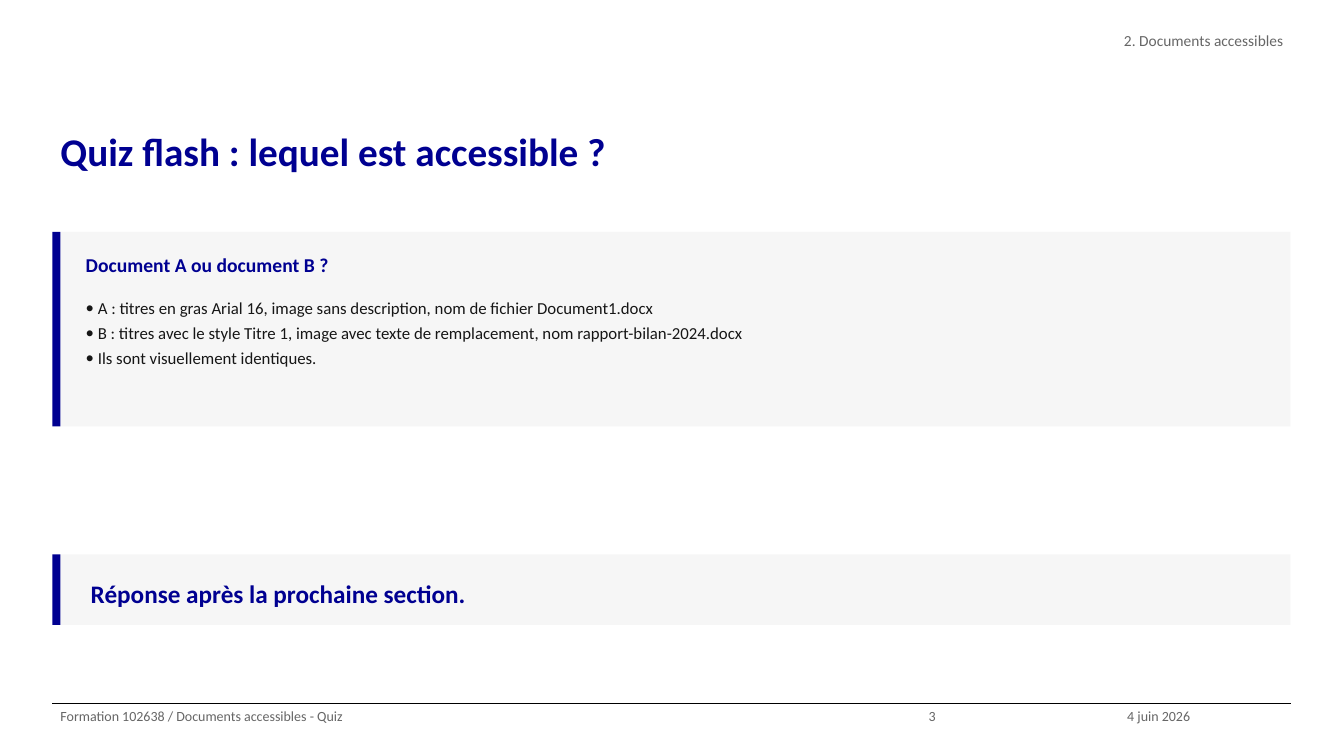
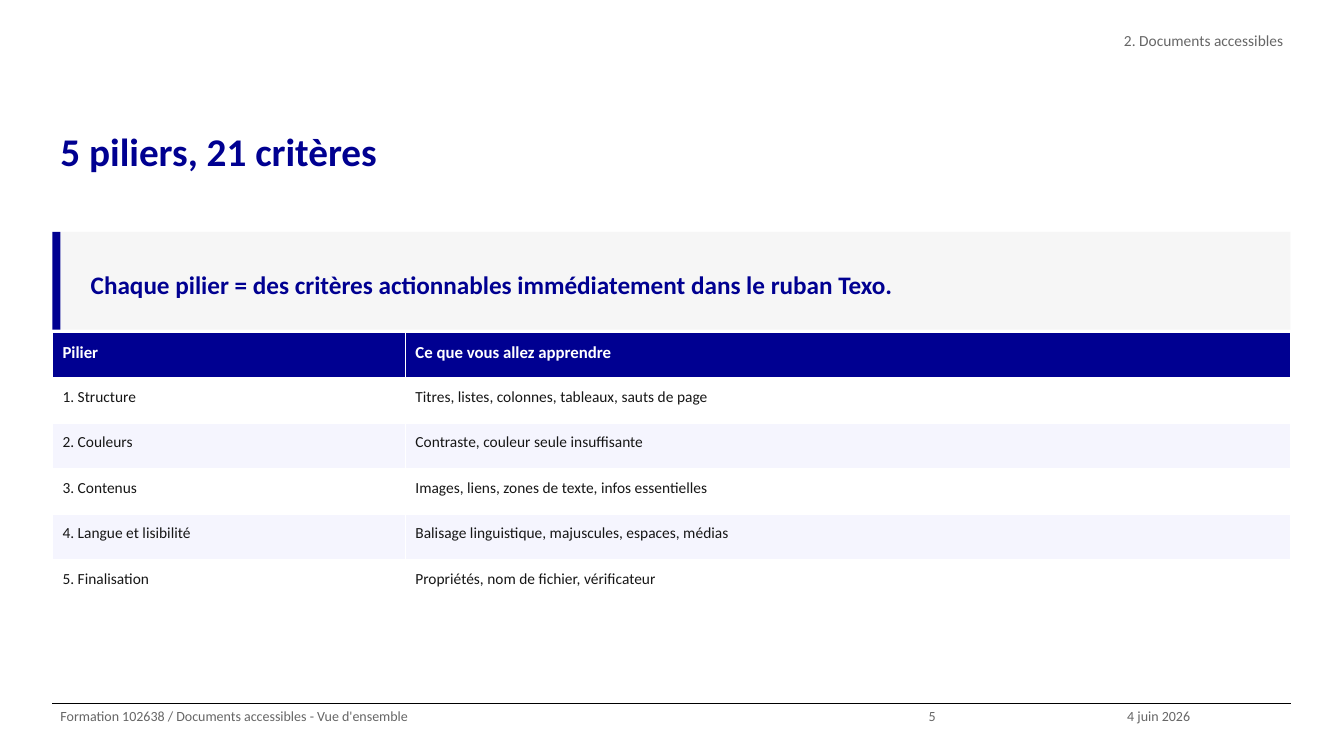
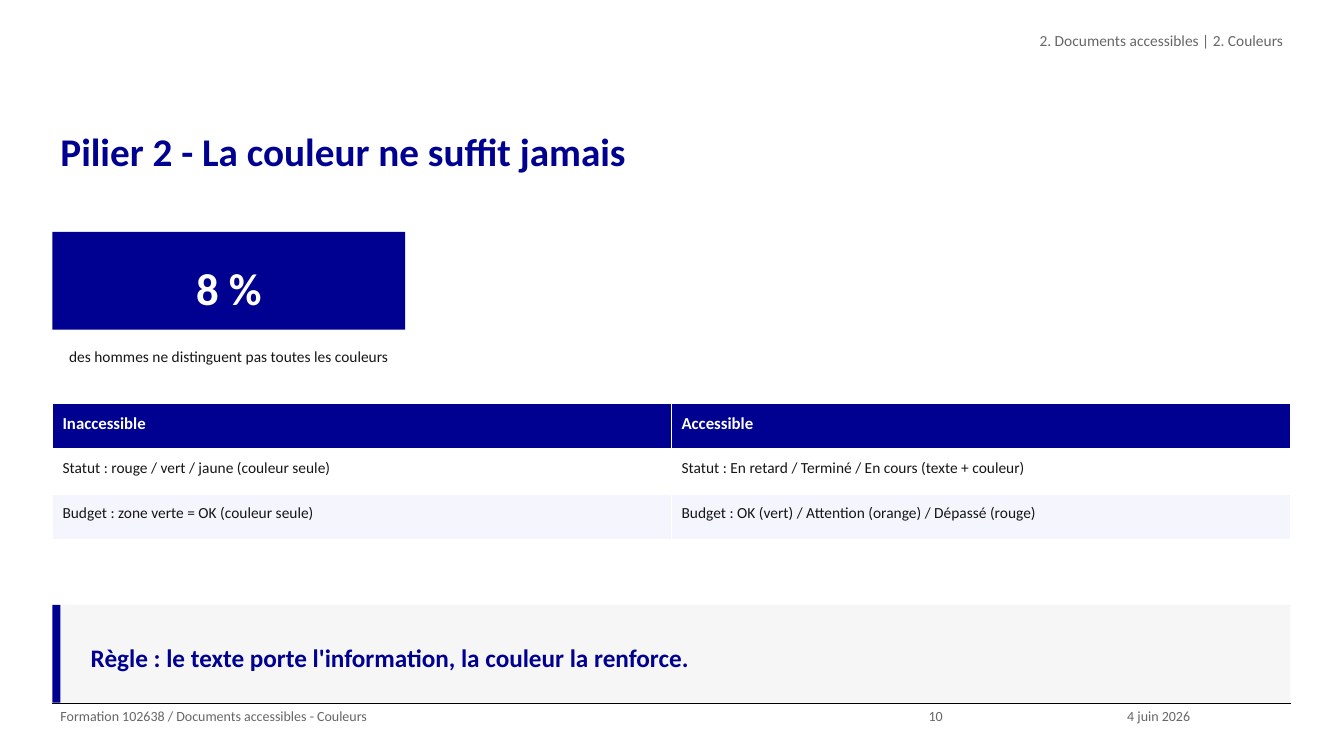
from lxml import etree
from pptx import Presentation
from pptx.dml.color import RGBColor
from pptx.enum.shapes import MSO_CONNECTOR, MSO_SHAPE
from pptx.enum.text import MSO_ANCHOR, MSO_AUTO_SIZE, PP_ALIGN
from pptx.oxml.ns import qn
from pptx.util import Inches, Pt

TOP, MIDDLE = MSO_ANCHOR.TOP, MSO_ANCHOR.MIDDLE
LEFT, CENTER, RIGHT = PP_ALIGN.LEFT, PP_ALIGN.CENTER, PP_ALIGN.RIGHT
RECTANGLE, STRAIGHT = MSO_SHAPE.RECTANGLE, MSO_CONNECTOR.STRAIGHT
NO_AUTOFIT = MSO_AUTO_SIZE.NONE

# Shared style
FONT = "Calibri"
BLUE, INK, GREY, WHITE, BLACK = "000091", "161616", "666666", "FFFFFF", "000000"
PANEL_FILL, BAND_FILL = "F6F6F6", "F5F5FE"
LINE_SPACING = 1.25
MARGIN, CONTENT_WIDTH = 0.52, 12.28
BAR_WIDTH, BULLET_INDENT = 0.08, 0.12
CONTENT_TOP, FOOTER_TOP, FOOTER_HEIGHT = 2.3, 6.98, 0.52
PANEL_HEIGHT, ROW_HEIGHT, FIGURE_WIDTH = 0.97, 0.45, 3.5
TITLE_AND_BODY, TITLE_AND_TWO_BODIES = 1, 3

# Content
SECTION = "2. Documents accessibles"
COURSE = "Formation 102638 / Documents accessibles - "
DATE = "4 juin 2026"

QUIZ = {
    "title": "Quiz flash : lequel est accessible ?",
    "section": SECTION, "topic": "Quiz", "number": 3,
    "question": "Document A ou document B ?",
    "choices": [
        "A : titres en gras Arial 16, image sans description, nom de fichier Document1.docx",
        "B : titres avec le style Titre 1, image avec texte de remplacement, "
        "nom rapport-bilan-2024.docx",
        "Ils sont visuellement identiques.",
    ],
    "message": "Réponse après la prochaine section.",
}
OVERVIEW = {
    "title": "5 piliers, 21 critères",
    "section": SECTION, "topic": "Vue d'ensemble", "number": 5,
    "message": "Chaque pilier = des critères actionnables immédiatement dans le ruban Texo.",
    "rows": [
        ("Pilier", "Ce que vous allez apprendre"),
        ("1. Structure", "Titres, listes, colonnes, tableaux, sauts de page"),
        ("2. Couleurs", "Contraste, couleur seule insuffisante"),
        ("3. Contenus", "Images, liens, zones de texte, infos essentielles"),
        ("4. Langue et lisibilité", "Balisage linguistique, majuscules, espaces, médias"),
        ("5. Finalisation", "Propriétés, nom de fichier, vérificateur"),
    ],
}
COLOURS = {
    "title": "Pilier 2 - La couleur ne suffit jamais",
    "section": SECTION + " | 2. Couleurs", "topic": "Couleurs", "number": 10,
    "figure": "8 %",
    "caption": "des hommes ne distinguent pas toutes les couleurs",
    "rows": [
        ("Inaccessible", "Accessible"),
        ("Statut : rouge / vert / jaune (couleur seule)",
         "Statut : En retard / Terminé / En cours (texte + couleur)"),
        ("Budget : zone verte = OK (couleur seule)",
         "Budget : OK (vert) / Attention (orange) / Dépassé (rouge)"),
    ],
    "message": "Règle : le texte porte l'information, la couleur la renforce.",
}


def colour(value):
    return RGBColor.from_string(value)


def style(para, size, ink, bold=False, align=LEFT):
    para.alignment = align
    para.line_spacing = LINE_SPACING
    para.space_before = Pt(0)
    para.font.name = FONT
    para.font.size = Pt(size)
    para.font.bold = bold
    para.font.color.rgb = colour(ink)


def set_bullet(para, bulleted):
    properties = para._p.get_or_add_pPr()
    indent = Inches(BULLET_INDENT) if bulleted else 0
    properties.set("marL", str(indent))
    properties.set("indent", str(-indent))
    if bulleted:
        etree.SubElement(properties, qn("a:buFont")).set("typeface", FONT)
        etree.SubElement(properties, qn("a:buChar")).set("char", "•")
    else:
        etree.SubElement(properties, qn("a:buNone"))


def fill_text(box, lines, size, ink, bold=False, align=LEFT, anchor=TOP, inset=0.05,
              bulleted=None):
    frame = box.text_frame
    frame.word_wrap = True
    frame.auto_size = NO_AUTOFIT
    frame.vertical_anchor = anchor
    frame.margin_left = frame.margin_right = Inches(0.08)
    frame.margin_top = frame.margin_bottom = Inches(inset)
    frame.text = "\n".join(lines)
    for para in frame.paragraphs:
        if bulleted is not None:
            set_bullet(para, bulleted)
        style(para, size, ink, bold, align)


def place(box, left, top, width, height):
    box.left, box.top = Inches(left), Inches(top)
    box.width, box.height = Inches(width), Inches(height)


def add_text(page, area, text, size, ink, **options):
    box = page.shapes.add_textbox(*map(Inches, area))
    fill_text(box, [text], size, ink, **options)


def add_rectangle(page, area, fill):
    box = page.shapes.add_shape(RECTANGLE, *map(Inches, area))
    box.shadow.inherit = False
    box.fill.solid()
    box.fill.fore_color.rgb = colour(fill)
    box.line.fill.background()
    return box


def add_panel(page, top, height, message=None):
    """Grey panel with a blue bar on its left, and an optional bold message."""
    add_rectangle(page, (MARGIN + BAR_WIDTH, top, CONTENT_WIDTH - BAR_WIDTH, height), PANEL_FILL)
    add_rectangle(page, (MARGIN, top, BAR_WIDTH, height), BLUE)
    if message:
        add_text(page, (0.82, top + 0.1, 11.88, height - 0.2), message, 18, BLUE,
                 bold=True, anchor=MIDDLE)


def add_grid(page, top, rows, widths):
    area = (MARGIN, top, sum(widths), ROW_HEIGHT * len(rows))
    table = page.shapes.add_table(len(rows), len(widths), *map(Inches, area)).table
    for column, width in zip(table.columns, widths):
        column.width = Inches(width)
    for row_index, texts in enumerate(rows):
        header = row_index == 0
        fill = BLUE if header else (BAND_FILL, WHITE)[row_index % 2]
        for column_index, text in enumerate(texts):
            cell = table.cell(row_index, column_index)
            cell.fill.solid()
            cell.fill.fore_color.rgb = colour(fill)
            cell.text = text
            style(cell.text_frame.paragraphs[0], 12 if header else 11,
                  WHITE if header else INK, header)


def add_page(deck, content, layout=TITLE_AND_BODY):
    """Page with its title, section tag and footer."""
    page = deck.slides.add_slide(deck.slide_layouts[layout])
    title, tag = page.shapes.title, page.placeholders[1]
    place(title, MARGIN, 1.15, CONTENT_WIDTH, 1.05)
    fill_text(title, [content["title"]], 28, BLUE, bold=True, inset=0)
    place(tag, 4.83, 0.26, 7.98, 0.52)
    fill_text(tag, [content["section"]], 11, GREY, align=RIGHT, inset=0, bulleted=False)
    footer = [(MARGIN, 8.61, COURSE + content["topic"]),
              (9.13, 1.97, str(content["number"])),
              (11.1, 1.71, DATE)]
    for left, width, text in footer:
        add_text(page, (left, FOOTER_TOP, width, FOOTER_HEIGHT), text, 10, GREY, inset=0)
    return page


def add_master_rule(deck, page):
    """Footer rule, moved to the master so that every page shows it."""
    rule = page.shapes.add_connector(STRAIGHT, Inches(MARGIN), Inches(FOOTER_TOP),
                                     Inches(MARGIN + CONTENT_WIDTH), Inches(FOOTER_TOP))
    rule.line.color.rgb = colour(BLACK)
    rule.line.width = Pt(0.8)
    etree.SubElement(rule.element.spPr, qn("a:effectLst"))
    deck.slide_master.element.cSld.spTree.append(rule.element)


def build_quiz(deck):
    page = add_page(deck, QUIZ, TITLE_AND_TWO_BODIES)
    add_master_rule(deck, page)
    add_panel(page, CONTENT_TOP, 1.93)
    add_text(page, (0.77, 2.4, 11.93, 0.4), QUIZ["question"], 14, BLUE, bold=True)
    choices = page.placeholders[2]
    place(choices, 0.77, 2.85, 11.93, 1.27)
    fill_text(choices, QUIZ["choices"], 12, INK, bulleted=True)
    # The list goes in front of its panel
    choices.element.getparent().append(choices.element)
    add_panel(page, 5.5, 0.7, QUIZ["message"])


def build_overview(deck):
    page = add_page(deck, OVERVIEW)
    add_panel(page, CONTENT_TOP, PANEL_HEIGHT, OVERVIEW["message"])
    add_grid(page, 3.3, OVERVIEW["rows"], (FIGURE_WIDTH, CONTENT_WIDTH - FIGURE_WIDTH))


def build_colours(deck):
    page = add_page(deck, COLOURS)
    figure = add_rectangle(page, (MARGIN, CONTENT_TOP, FIGURE_WIDTH, PANEL_HEIGHT), BLUE)
    fill_text(figure, [COLOURS["figure"]], 32, WHITE, bold=True, align=CENTER, anchor=MIDDLE)
    add_text(page, (MARGIN, 3.35, FIGURE_WIDTH, 0.45), COLOURS["caption"], 11, INK, align=CENTER)
    add_grid(page, 4, COLOURS["rows"], (CONTENT_WIDTH / 2,) * 2)
    add_panel(page, 6, PANEL_HEIGHT, COLOURS["message"])


def main():
    deck = Presentation()
    deck.slide_width, deck.slide_height = Inches(13.33), Inches(7.5)
    build_quiz(deck)
    build_overview(deck)
    build_colours(deck)
    deck.save("out.pptx")


if __name__ == "__main__":
    main()
